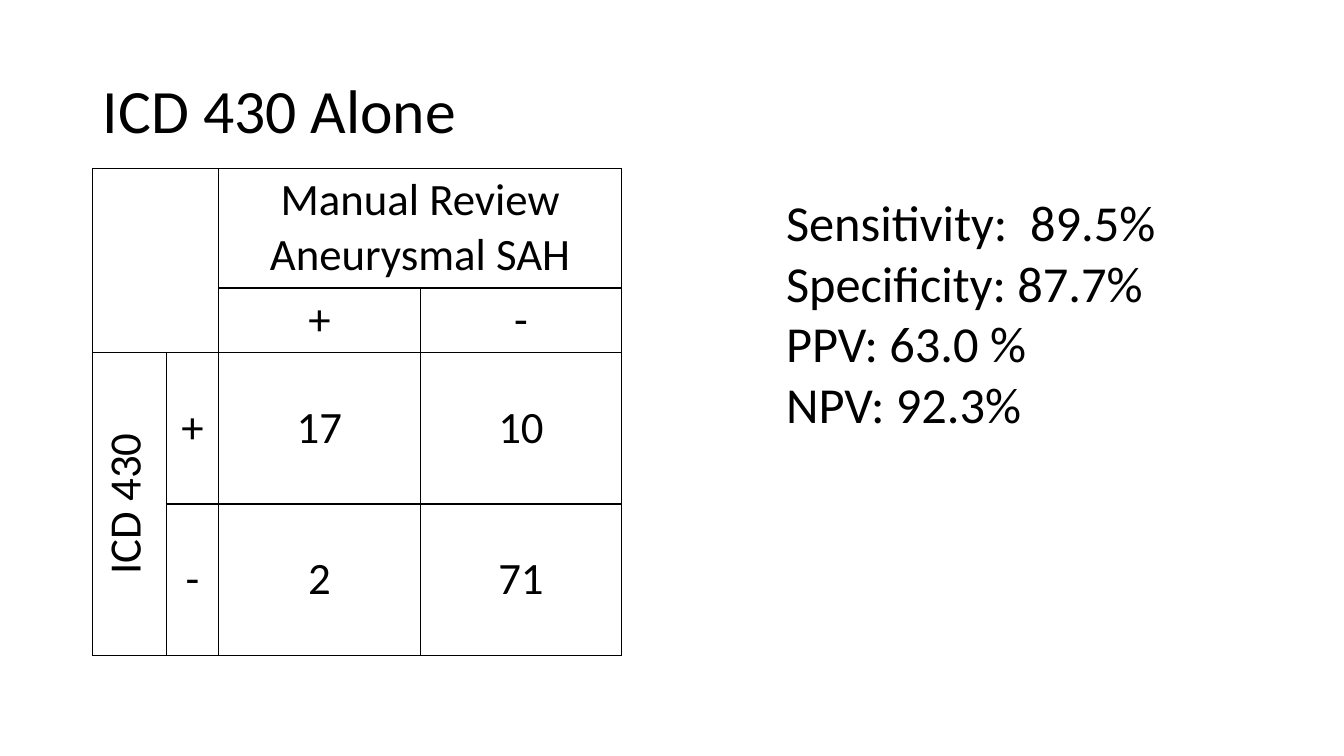
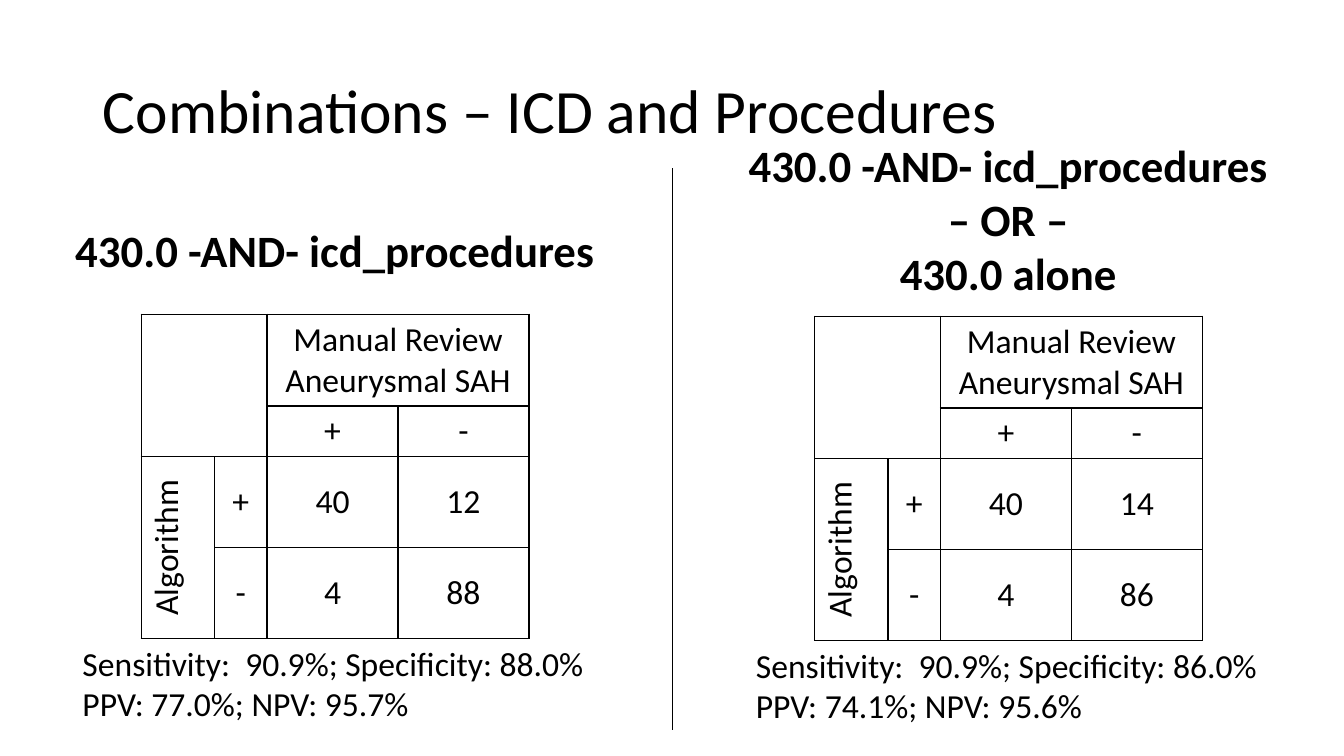
import dataclasses

import lxml.etree
import pptx
import pptx.dml.color
import pptx.enum.shapes
import pptx.enum.text
import pptx.oxml.ns
import pptx.util

Cm = pptx.util.Cm
Pt = pptx.util.Pt
Align = pptx.enum.text.PP_ALIGN
Anchor = pptx.enum.text.MSO_ANCHOR
AutoSize = pptx.enum.text.MSO_AUTO_SIZE
qn = pptx.oxml.ns.qn


@dataclasses.dataclass(frozen=True)
class Theme:
    font: str = "Calibri"
    ink: str = "000000"
    paper: str = "FFFFFF"
    title: int = 44
    metrics: int = 36
    large: int = 32
    small: int = 24
    border: float = 1
    divider: float = 0.5


class SlideMaker:
    def __init__(self, deck, theme):
        self.deck = deck
        self.theme = theme
        self.ink = pptx.dml.color.RGBColor.from_string(theme.ink)
        self.slide = None

    def start(self, title):
        self.slide = self.deck.slides.add_slide(self.deck.slide_layouts[5])
        background = self.slide.background.fill
        background.solid()
        background.fore_color.rgb = pptx.dml.color.RGBColor.from_string(self.theme.paper)
        box = self.slide.shapes.title
        box.left, box.top = Cm(2.34), Cm(1.02)
        box.width, box.height = Cm(29.21), Cm(3.68)
        frame = box.text_frame
        frame.auto_size = AutoSize.NONE
        frame.vertical_anchor = Anchor.MIDDLE
        self.add_lines(frame, [title], self.theme.title)
        frame.paragraphs[0].line_spacing = 0.9

    def add_lines(self, frame, lines, size, align=Align.LEFT, bold=False):
        for index, line in enumerate(lines):
            para = frame.add_paragraph() if index else frame.paragraphs[0]
            para.alignment = align
            span = para.add_run()
            span.text = line
            span.font.name = self.theme.font
            span.font.size = Pt(size)
            span.font.bold = bold
            span.font.color.rgb = self.ink

    def text(self, left, top, width, height, lines, size, align=Align.LEFT, bold=False):
        box = self.slide.shapes.add_textbox(Cm(left), Cm(top), Cm(width), Cm(height))
        frame = box.text_frame
        frame.word_wrap = False
        frame.auto_size = AutoSize.SHAPE_TO_FIT_TEXT
        self.add_lines(frame, lines, size, align, bold)

    def divider(self, x, top, bottom):
        line = self.slide.shapes.add_connector(
            pptx.enum.shapes.MSO_CONNECTOR.STRAIGHT, Cm(x), Cm(top), Cm(x), Cm(bottom))
        line.line.color.rgb = self.ink
        line.line.width = Pt(self.theme.divider)
        lxml.etree.SubElement(line._element.spPr, qn("a:effectLst"))

    def outline(self, cell):
        properties = cell._tc.get_or_add_tcPr()
        for side in ("lnL", "lnR", "lnT", "lnB"):
            edge = lxml.etree.SubElement(properties, qn(f"a:{side}"), w=str(Pt(self.theme.border)))
            fill = lxml.etree.SubElement(edge, qn("a:solidFill"))
            lxml.etree.SubElement(fill, qn("a:srgbClr"), val=self.theme.ink)

    def confusion_table(self, left, top, test, counts, data_width, heights, size):
        widths = [1.85, 1.32, data_width, data_width]
        table = self.slide.shapes.add_table(
            4, 4, Cm(left), Cm(top), Cm(sum(widths)), Cm(sum(heights))).table
        table.first_row = table.horz_banding = False
        for column, width in zip(table.columns, widths):
            column.width = Cm(width)
        for row, height in zip(table.rows, heights):
            row.height = Cm(height)
        rows = [
            ["", "", "Manual Review Aneurysmal SAH", ""],
            ["", "", "+", "-"],
            [test, "+", *counts[0]],
            ["", "-", *counts[1]],
        ]
        for row, labels in enumerate(rows):
            for column, label in enumerate(labels):
                cell = table.cell(row, column)
                self.outline(cell)
                cell.fill.background()
                cell.vertical_anchor = Anchor.MIDDLE if row else Anchor.TOP
                if label:
                    self.add_lines(cell.text_frame, [label], size, Align.CENTER)
        for first, last in (((0, 0), (1, 1)), ((0, 2), (0, 3)), ((2, 0), (3, 0))):
            table.cell(*first).merge(table.cell(*last))
        table.cell(2, 0)._tc.get_or_add_tcPr().set("vert", "vert270")


deck = pptx.Presentation()
deck.slide_width, deck.slide_height = Cm(33.87), Cm(19.05)
theme = Theme()
maker = SlideMaker(deck, theme)

maker.start("ICD 430 Alone")
maker.confusion_table(2.34, 4.24, "ICD 430", [("17", "10"), ("2", "71")],
                      5.08, [3, 1.63, 3.81, 3.81], theme.large)
maker.text(19.56, 4.7, 9.93, 6.4,
           ["Sensitivity:  89.5%", "Specificity: 87.7%", "PPV: 63.0 %", "NPV: 92.3%"],
           theme.metrics)

maker.start("Combinations – ICD and Procedures")
maker.divider(16.94, 4.24, 18.39)
combinations = [
    (0, 0, 5.49, 1.63, ["430.0 -AND- icd_procedures"],
     [("40", "12"), ("4", "88")],
     ["Sensitivity:  90.9%; Specificity: 88.0%", "PPV: 77.0%; NPV: 95.7%"]),
    (16.97, 0.05, 3.35, 4.37, ["430.0 -AND- icd_procedures", "– OR –", "430.0 alone"],
     [("40", "14"), ("4", "86")],
     ["Sensitivity:  90.9%; Specificity: 86.0%", "PPV: 74.1%; NPV: 95.6%"]),
]
for right, down, heading_top, heading_height, heading, counts, metrics in combinations:
    maker.text(1.57 + right, heading_top, 13.74, heading_height, heading,
               theme.large, Align.CENTER, True)
    maker.confusion_table(3.56 + right, 7.92 + down, "Algorithm", counts,
                          3.3, [2.31, 1.28, 2.29, 2.29], theme.small)
    maker.text(1.83 + right, 16.08 + down, 13.26, 2.31, metrics, theme.small)

deck.save("out.pptx")
